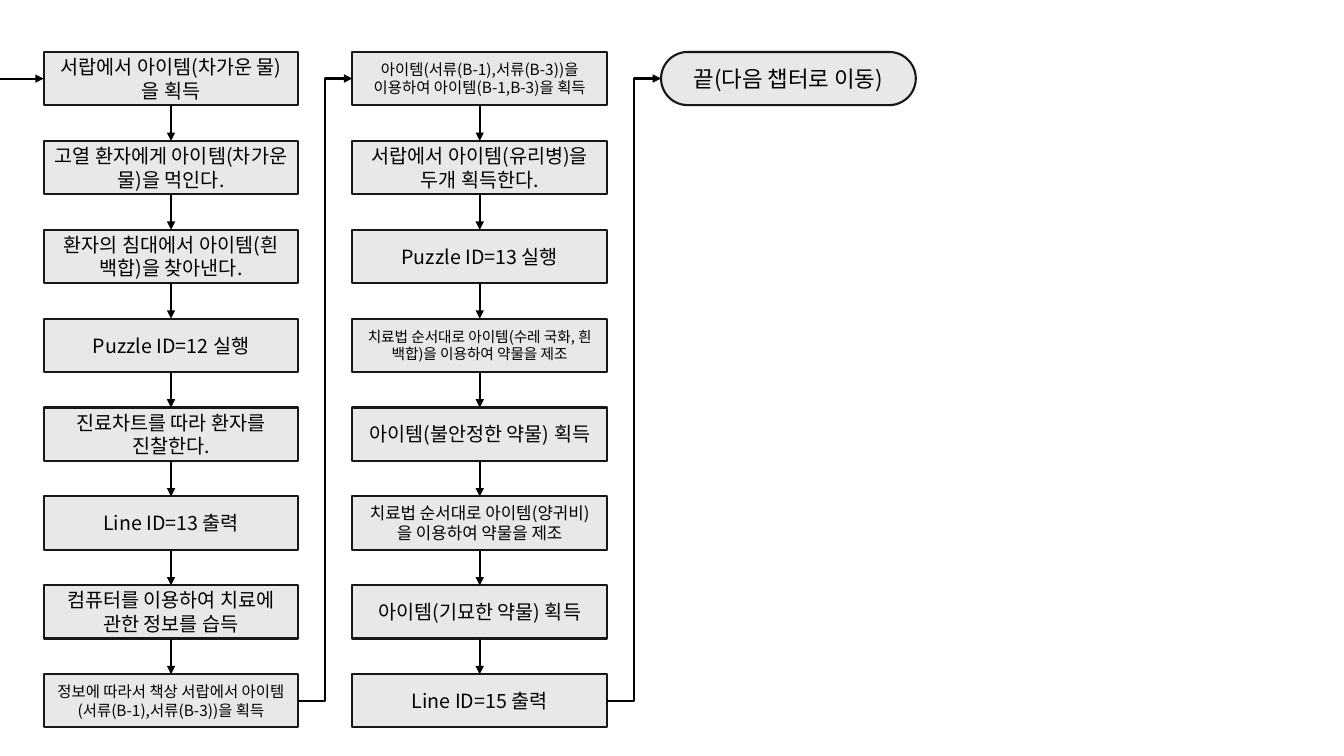
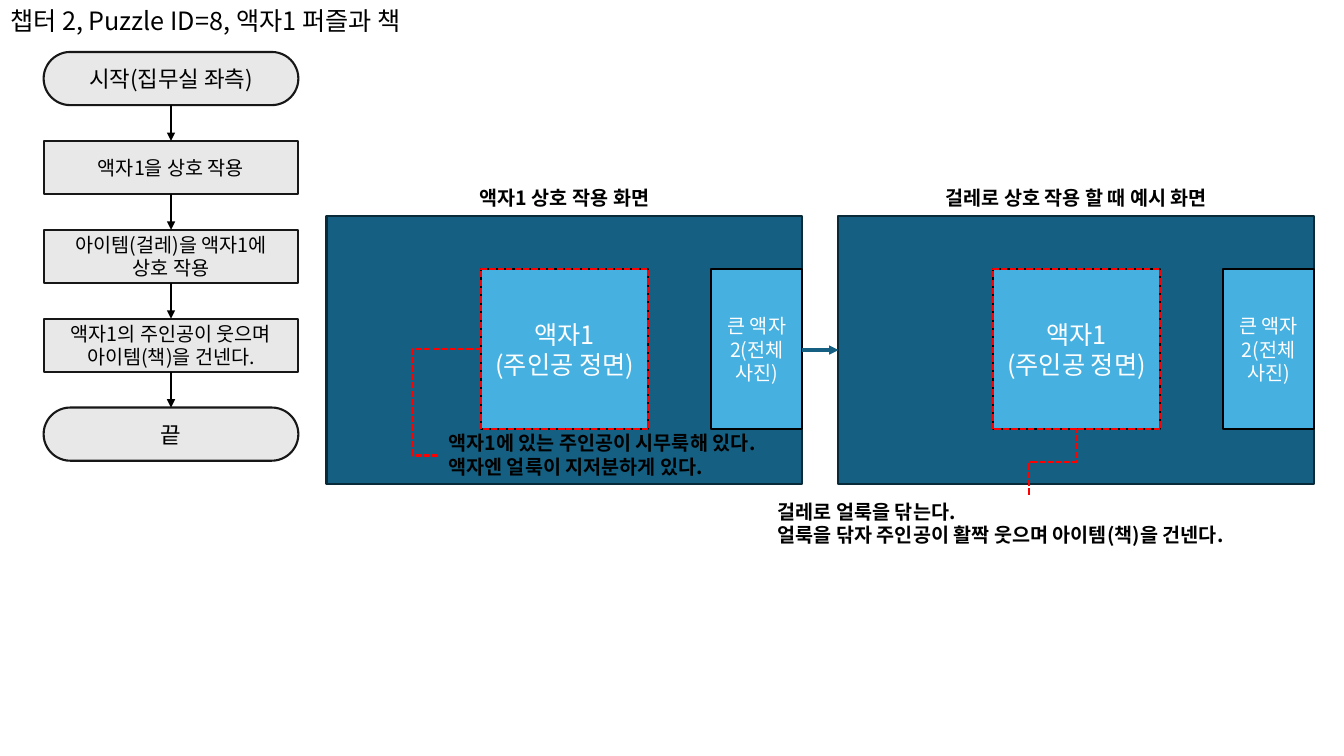
from itertools import pairwise

from lxml import etree
from pptx import Presentation
from pptx.dml.color import RGBColor
from pptx.enum.dml import MSO_LINE
from pptx.enum.shapes import MSO_CONNECTOR, MSO_SHAPE
from pptx.enum.text import MSO_ANCHOR, MSO_AUTO_SIZE, PP_ALIGN
from pptx.oxml.ns import qn
from pptx.util import Cm, Pt

BLACK = RGBColor(0x00, 0x00, 0x00)
WHITE = RGBColor(0xFF, 0xFF, 0xFF)
RED = RGBColor(0xFF, 0x00, 0x00)
STEP_FILL = RGBColor(0xE8, 0xE8, 0xE8)
STEP_LINE = RGBColor(0x17, 0x17, 0x17)
WALL_FILL = RGBColor(0x15, 0x60, 0x82)
WALL_LINE = RGBColor(0x09, 0x2A, 0x39)
FRAME_FILL = RGBColor(0x46, 0xB1, 0xE1)

RECTANGLE = MSO_SHAPE.RECTANGLE
PILL = MSO_SHAPE.ROUNDED_RECTANGLE
STRAIGHT = MSO_CONNECTOR.STRAIGHT
ELBOW = MSO_CONNECTOR.ELBOW
DASH = MSO_LINE.SQUARE_DOT
LEFT, CENTER = PP_ALIGN.LEFT, PP_ALIGN.CENTER
TOP, MIDDLE = MSO_ANCHOR.TOP, MSO_ANCHOR.MIDDLE
NO_FIT = MSO_AUTO_SIZE.NONE

FONT = "Noto Sans CJK KR"
TITLE_ONLY, BLANK = 5, 6
SIDE_TOP, SIDE_LEFT, SIDE_BOTTOM, SIDE_RIGHT = range(4)

COLUMN_LEFT, COLUMN_PITCH = 1.1, 7.78
ROW_TOP, ROW_PITCH = 1.31, 2.24
STEP_WIDTH, STEP_HEIGHT = 6.42, 1.34
WALL_TOP, WALL_WIDTH, WALL_HEIGHT = 5.44, 11.99, 6.76
FRAME_TOP, FRAME_HEIGHT = 6.78, 4.04


def write_text(frame, text, size=14, color=BLACK, bold=False, align=LEFT, anchor=TOP):
    frame.word_wrap = True
    frame.auto_size = NO_FIT
    frame.vertical_anchor = anchor
    for index, line in enumerate(text.split("\n")):
        para = frame.add_paragraph() if index else frame.paragraphs[0]
        para.alignment = align
        span = para.add_run()
        span.text = line
        span.font.size = Pt(size)
        span.font.bold = bold
        span.font.color.rgb = color
        span.font.name = FONT
        east_asian = etree.SubElement(span.font._element, qn("a:ea"))
        east_asian.set("typeface", FONT)


class FlowDeck:
    def __init__(self):
        self.deck = Presentation()
        self.deck.slide_width = Cm(33.87)
        self.deck.slide_height = Cm(19.05)
        self.page = None

    def new_page(self, title=None):
        layout = self.deck.slide_layouts[TITLE_ONLY if title else BLANK]
        self.page = self.deck.slides.add_slide(layout)
        if title:
            heading = self.page.shapes.title
            heading.left, heading.top = Cm(0), Cm(0)
            heading.width, heading.height = Cm(14), Cm(1.02)
            write_text(heading.text_frame, title, size=18)

    def box(self, left, top, width, height, fill, line, text="", kind=RECTANGLE,
            dash=None, **style):
        shape = self.page.shapes.add_shape(kind, Cm(left), Cm(top), Cm(width), Cm(height))
        shape.shadow.inherit = False
        if kind == PILL:
            shape.adjustments[0] = 0.5
        if fill is None:
            shape.fill.background()
        else:
            shape.fill.solid()
            shape.fill.fore_color.rgb = fill
        shape.line.color.rgb = line
        shape.line.width = Pt(1.5)
        if dash:
            shape.line.dash_style = dash
        if text:
            write_text(shape.text_frame, text, align=CENTER, anchor=MIDDLE, **style)
        return shape

    def label(self, left, top, width, height, text, align=LEFT):
        box = self.page.shapes.add_textbox(Cm(left), Cm(top), Cm(width), Cm(height))
        write_text(box.text_frame, text, bold=True, align=align)

    def connector(self, kind, start, end, color=BLACK, width=1.5, dash=None, arrow=True):
        line = self.page.shapes.add_connector(kind, *map(Cm, start + end))
        line.line.color.rgb = color
        line.line.width = Pt(width)
        if dash:
            line.line.dash_style = dash
        properties = line._element.spPr
        if arrow:
            etree.SubElement(properties.find(qn("a:ln")), qn("a:tailEnd")).set("type", "triangle")
        etree.SubElement(properties, qn("a:effectLst"))
        return line

    def join(self, source, source_side, target, target_side, kind=STRAIGHT, **style):
        line = self.connector(kind, (0, 0), (0, 0), **style)
        line.begin_connect(source, source_side)
        line.end_connect(target, target_side)

    def leader(self, start, end, bend=0.5, upright=False):
        if upright:
            middle_x, middle_y = (start[0] + end[0]) / 2, (start[1] + end[1]) / 2
            start, end = [(middle_x + y - middle_y, middle_y - x + middle_x)
                          for x, y in (start, end)]
        line = self.connector(ELBOW, start, end, color=RED, dash=DASH, arrow=False)
        properties = line._element.spPr
        if upright:
            properties.find(qn("a:xfrm")).set("rot", "5400000")
        guides = properties.find(qn("a:prstGeom")).find(qn("a:avLst"))
        guide = etree.SubElement(guides, qn("a:gd"))
        guide.set("name", "adj1")
        guide.set("fmla", f"val {round(bend * 100000)}")

    def column(self, number, steps):
        left = COLUMN_LEFT + number * COLUMN_PITCH
        boxes = [
            self.box(left, ROW_TOP + row * ROW_PITCH, STEP_WIDTH, STEP_HEIGHT,
                     STEP_FILL, STEP_LINE, text, kind=kind, size=size)
            for row, (text, size, kind) in enumerate(steps)
        ]
        for upper, lower in pairwise(boxes):
            self.join(upper, SIDE_BOTTOM, lower, SIDE_TOP)
        return boxes

    def scene(self, left, caption):
        wall = self.box(left, WALL_TOP, WALL_WIDTH, WALL_HEIGHT, WALL_FILL, WALL_LINE)
        main_frame = (left + 3.89, FRAME_TOP, 4.22, FRAME_HEIGHT)
        self.box(*main_frame, FRAME_FILL, BLACK, "액자1\n(주인공 정면)", size=18, color=WHITE)
        self.box(left + 9.7, FRAME_TOP, 2.29, FRAME_HEIGHT, FRAME_FILL, BLACK,
                 "큰 액자2(전체 사진)", color=WHITE)
        self.box(*main_frame, None, RED, dash=DASH)
        self.label(left, 4.55, WALL_WIDTH, 0.86, caption, align=CENTER)
        return wall


def step(text, size=14):
    return text, size, RECTANGLE


def terminal(text):
    return text, 16, PILL


def build_treatment(flow):
    flow.new_page()
    columns = [flow.column(number, steps) for number, steps in enumerate([
        [
            step("서랍에서 아이템(차가운 물)을 획득"),
            step("고열 환자에게 아이템(차가운 물)을 먹인다."),
            step("환자의 침대에서 아이템(흰 백합)을 찾아낸다."),
            step("Puzzle ID=12 실행"),
            step("진료차트를 따라 환자를 진찰한다."),
            step("Line ID=13 출력"),
            step("컴퓨터를 이용하여 치료에 관한 정보를 습득"),
            step("정보에 따라서 책상 서랍에서 아이템(서류(B-1),서류(B-3))을 획득", 11),
        ],
        [
            step("아이템(서류(B-1),서류(B-3))을 이용하여 아이템(B-1,B-3)을 획득", 11),
            step("서랍에서 아이템(유리병)을 두개 획득한다."),
            step("Puzzle ID=13 실행"),
            step("치료법 순서대로 아이템(수레 국화, 흰 백합)을 이용하여 약물을 제조", 10.5),
            step("아이템(불안정한 약물) 획득"),
            step("치료법 순서대로 아이템(양귀비)을 이용하여 약물을 제조", 12),
            step("아이템(기묘한 약물) 획득"),
            step("Line ID=15 출력"),
        ],
        [terminal("끝(다음 챕터로 이동)")],
    ])]
    entry_y = ROW_TOP + STEP_HEIGHT / 2
    entry = flow.connector(STRAIGHT, (0, entry_y), (COLUMN_LEFT, entry_y))
    entry.end_connect(columns[0][0], SIDE_LEFT)
    for before, after in pairwise(columns):
        flow.join(before[-1], SIDE_RIGHT, after[0], SIDE_LEFT, kind=ELBOW)


def build_frame_puzzle(flow):
    flow.new_page("챕터 2, Puzzle ID=8, 액자1 퍼즐과 책")
    flow.column(0, [
        terminal("시작(집무실 좌측)"),
        step("액자1을 상호 작용"),
        step("아이템(걸레)을 액자1에\n상호 작용"),
        step("액자1의 주인공이 웃으며 아이템(책)을 건넨다."),
        terminal("끝"),
    ])
    before = flow.scene(8.23, "액자1 상호 작용 화면")
    after = flow.scene(21.13, "걸레로 상호 작용 할 때 예시 화면")
    flow.join(before, SIDE_RIGHT, after, SIDE_LEFT, color=WALL_FILL, width=2.25)
    flow.leader((11.05, 11.48), (12.12, 8.8), bend=-0.6)
    flow.label(11.05, 10.74, 8.94, 1.45,
               "액자1에 있는 주인공이 시무룩해 있다.\n액자엔 얼룩이 지저분하게 있다.")
    flow.leader((25.94, 12.47), (27.13, 10.82), upright=True)
    flow.label(19.35, 12.47, 13.21, 1.45,
               "걸레로 얼룩을 닦는다.\n얼룩을 닦자 주인공이 활짝 웃으며 아이템(책)을 건넨다.")


def main():
    flow = FlowDeck()
    build_treatment(flow)
    build_frame_puzzle(flow)
    flow.deck.save("out.pptx")


if __name__ == "__main__":
    main()
